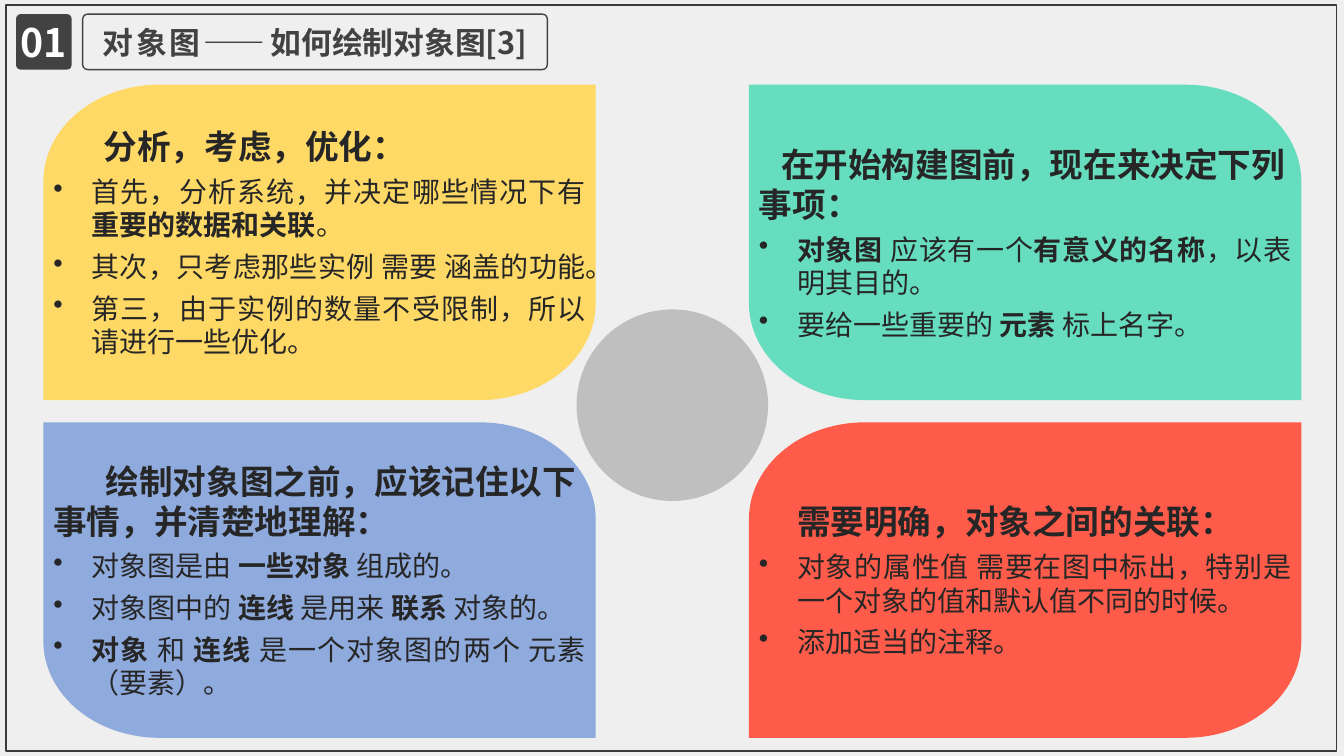
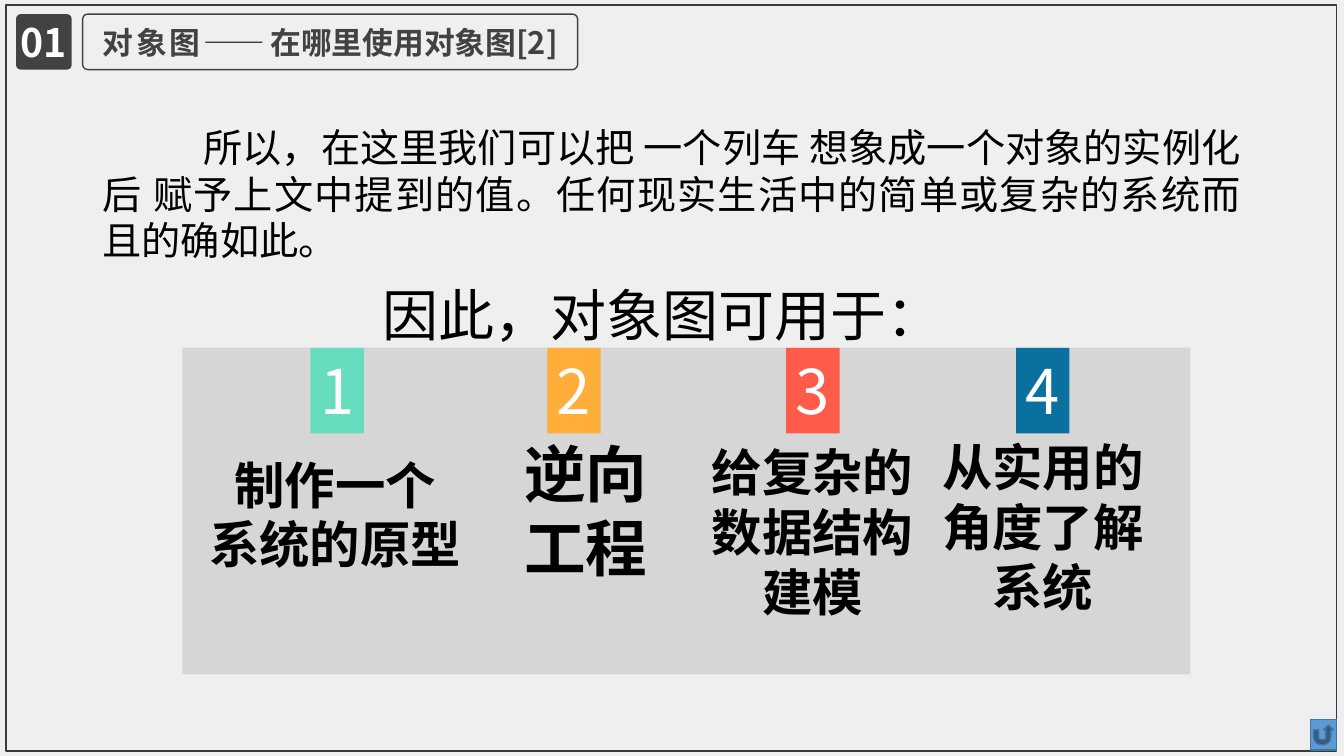
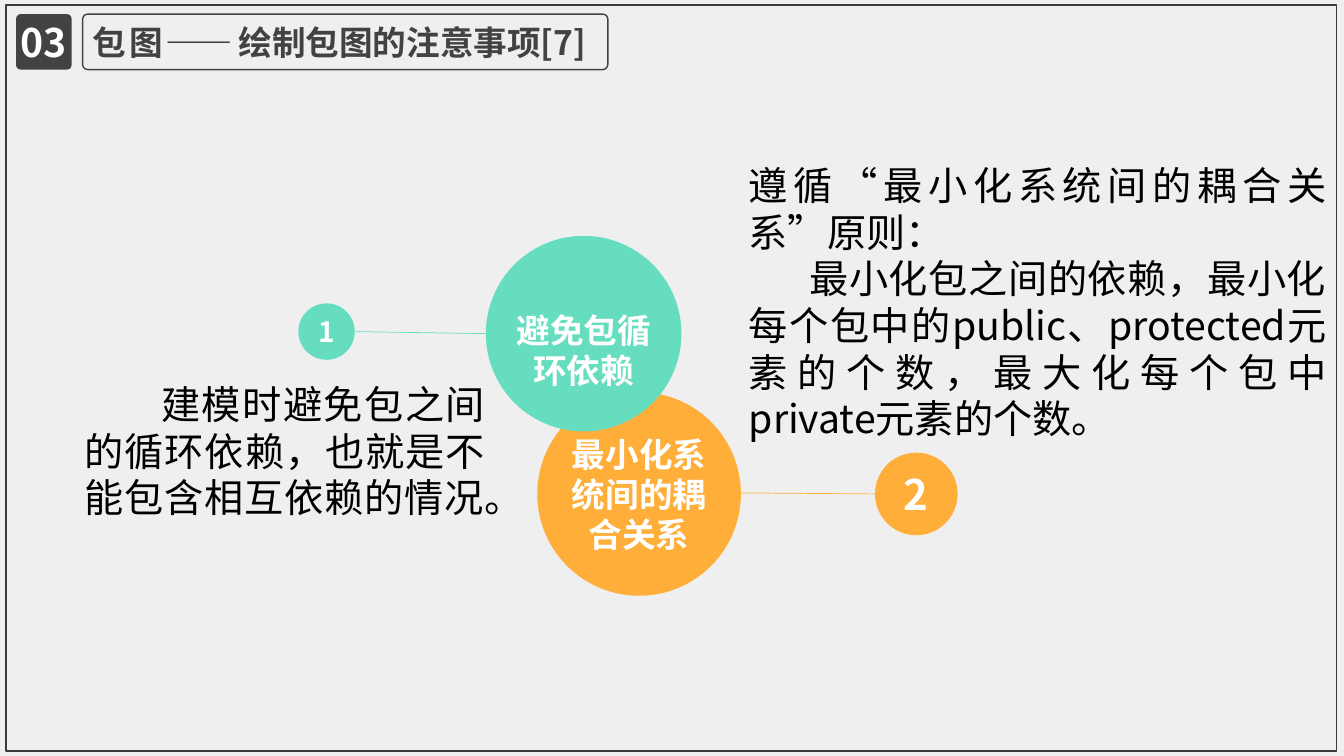
from dataclasses import dataclass
from math import cos, pi, sin

from lxml import etree
from pptx import Presentation
from pptx import util as u
from pptx.dml.color import RGBColor
from pptx.enum import shapes, text
from pptx.oxml.ns import qn

KIND = shapes.MSO_SHAPE
ALIGN = text.PP_ALIGN
MID = text.MSO_ANCHOR.MIDDLE
LOW = text.MSO_ANCHOR.BOTTOM


@dataclass(frozen=True)
class Theme:
    face: str = "Noto Sans CJK SC"
    back: str = "EFEFEF"
    edge: str = "3A3A3A"
    dark: str = "424242"
    ink: str = "262626"
    black: str = "000000"
    white: str = "FFFFFF"
    grey: str = "BFBFBF"
    gold: str = "FFD966"
    amber: str = "FFAE39"
    mint: str = "66DDBE"
    red: str = "FF5B4A"
    sky: str = "8FAADC"
    sea: str = "0970A0"
    blue: str = "5B9BD5"
    navy: str = "43739E"
    small: int = 20
    head: int = 22
    sub: int = 24
    body: int = 28
    num: int = 30
    label: int = 36
    lead: int = 40
    big: int = 44
    pitch: float = 1.19


T = Theme()
COLS, ROWS = 133.33, 75


class Deck:
    """Draws on a grid of 133.33 columns by 75 rows."""

    def __init__(self):
        self.prs = Presentation()
        self.prs.slide_height = u.Inches(7.5)
        self.cell = self.prs.slide_height / ROWS
        self.prs.slide_width = self.grid(COLS)[0]
        fill = self.prs.slide_master.background.fill
        fill.solid()
        fill.fore_color.rgb = RGBColor.from_string(T.back)

    def grid(self, *vals):
        return [round(v * self.cell) for v in vals]

    def start(self, num, title, width, size=T.head, align=ALIGN.CENTER):
        """Adds a slide with its frame, number badge and outlined title."""
        self.page = self.prs.slides.add_slide(self.prs.slide_layouts[5])
        self.shape(KIND.RECTANGLE, (0.6, 0.5, 132, 74), line=T.edge)
        badge = self.shape(KIND.ROUNDED_RECTANGLE, (1.6, 1.4, 5.5, 5.5), T.dark, curve=0.08)
        self.label(badge, [num], size=T.body, color=T.white, bold=True, pad=0)
        box = (8.2, 1.4, width, 5.5)
        self.shape(KIND.ROUNDED_RECTANGLE, box, line=T.dark, curve=0.09)
        head = self.page.shapes.title
        head.left, head.top, head.width, head.height = self.grid(*box)
        self.label(head, [title], size=size, color=T.dark, bold=True, align=align)
        first = head.text_frame.paragraphs[0].runs[0]
        first._r.get_or_add_rPr().set("spc", "200")

    def paint(self, item, fill=None, line=None, alpha=None):
        item.shadow.inherit = False
        if fill:
            item.fill.solid()
            item.fill.fore_color.rgb = RGBColor.from_string(fill)
            if alpha:
                tone = item._element.spPr.find(qn("a:solidFill"))[0]
                etree.SubElement(tone, qn("a:alpha")).set("val", str(alpha * 1000))
        else:
            item.fill.background()
        if line:
            item.line.color.rgb = RGBColor.from_string(line)
            item.line.width = u.Pt(1)
        else:
            item.line.fill.background()
        return item

    def shape(self, kind, box, fill=None, line=None, alpha=None, curve=None):
        item = self.page.shapes.add_shape(kind, *self.grid(*box))
        if curve:
            item.adjustments[0] = curve
        return self.paint(item, fill, line, alpha)

    def petal(self, box, fill, flip):
        """Box with two opposite elliptic corners: top left and bottom right, or flipped."""
        x, y, w, h = box
        rx, ry, steps = 11.5, 9.6, 24
        dots = []
        for k in range(steps + 1):
            turn = pi / 2 * k / steps
            dots.append((rx * (1 - cos(turn)), ry * (1 - sin(turn))))
        dots += [(w, 0)] + [(w - a, h - b) for a, b in dots] + [(0, h)]
        pts = [self.grid(x + (w - a if flip else a), y + b) for a, b in dots]
        form = self.page.shapes.build_freeform(*pts[0], scale=1.0)
        form.add_line_segments(pts[1:], close=True)
        return self.paint(form.convert_to_shape(), fill)

    def link(self, start, end, color):
        item = self.page.shapes.add_connector(
            shapes.MSO_CONNECTOR.STRAIGHT, *self.grid(*start, *end))
        item.line.color.rgb = RGBColor.from_string(color)
        item.line.width = u.Pt(0.5)
        etree.SubElement(item._element.spPr, qn("a:effectLst"))

    def note(self, box, paras, **style):
        item = self.page.shapes.add_textbox(*self.grid(*box))
        self.label(item, paras, **style)

    def label(self, item, paras, anchor=MID, pad=None, low=None, **style):
        """Fills a shape; a paragraph is a string or (string, style changes)."""
        frame = item.text_frame
        side, top = (1, 0.5) if pad is None else (pad, pad)
        left, high, base = self.grid(side, top, top if low is None else low)
        form = dict(word_wrap=True, auto_size=text.MSO_AUTO_SIZE.NONE,
                    vertical_anchor=anchor, margin_left=left, margin_right=left,
                    margin_top=high, margin_bottom=base)
        for key, val in form.items():
            setattr(frame, key, val)
        for i, para in enumerate(paras):
            words, more = (para, {}) if isinstance(para, str) else para
            spot = frame.add_paragraph() if i else frame.paragraphs[0]
            self.para(spot, words, **{**style, **more})

    def para(self, spot, words, size=T.body, color=T.black, bold=False,
             align=ALIGN.CENTER, after=0, indent=0, bullet=False):
        """Sets one paragraph; parts between asterisks are bold."""
        form = dict(alignment=align, space_before=u.Pt(0), space_after=u.Pt(after),
                    line_spacing=u.Pt(round(size * T.pitch, 1)))
        for key, val in form.items():
            setattr(spot, key, val)
        props = spot._p.get_or_add_pPr()
        hang = self.grid(3.8)[0] if bullet else 0
        props.set("marL", str(hang))
        props.set("indent", str(-hang or self.grid(indent)[0]))
        if bullet:
            etree.SubElement(props, qn("a:buChar")).set("char", "•")
        for i, part in enumerate(words.split("*")):
            if not part:
                continue
            run = spot.add_run()
            run.text = part
            font = dict(size=u.Pt(size), bold=bold or i % 2 == 1, name=T.face)
            for key, val in font.items():
                setattr(run.font, key, val)
            run.font.color.rgb = RGBColor.from_string(color)
            etree.SubElement(run._r.get_or_add_rPr(), qn("a:ea")).set("typeface", T.face)


def how(deck):
    deck.start("01", "对象图——*如何绘制对象图[3]", 46.1)
    deck.shape(KIND.OVAL, (57.2, 30.7, 19, 19), T.grey)
    cards = [
        (T.gold, 5, "分析，考虑，优化：", [
            "首先，分析系统，并决定哪些情况下有*重要的数据和关联*。",
            "其次，只考虑那些实例 需要 涵盖的功能。",
            "第三，由于实例的数量不受限制，所以请进行一些优化。"]),
        (T.mint, 2.2, "在开始构建图前，现在来决定下列事项：", [
            "*对象图 *应该有一个*有意义的名称*，以表明其目的。",
            "要给一些重要的 *元素* 标上名字。"]),
        (T.sky, 5.2, "绘制对象图之前，应该记住以下事情，并清楚地理解：", [
            "对象图是由 *一些对象 *组成的。",
            "对象图中的 *连线 *是用来 *联系* 对象的。",
            "*对象* 和 *连线* 是一个对象图的两个 元素（要素）。"]),
        (T.red, 3.8, "需要明确，对象之间的关联：", [
            "对象的属性值 需要在图中标出，特别是一个对象的值和默认值不同的时候。",
            "添加适当的注释。"]),
    ]
    for i, (fill, indent, head, points) in enumerate(cards):
        row, col = divmod(i, 2)
        card = deck.petal((4.3 + 70 * col, 8.4 + 33.5 * row, 54.8, 31.3), fill, row != col)
        top = (head, dict(size=T.sub, bold=True, indent=indent, align=ALIGN.LEFT, bullet=False))
        deck.label(card, [top, *points], size=T.small, color=T.ink,
                   align=ALIGN.JUSTIFY, after=6, bullet=True)


def where(deck):
    deck.start("01", "对象图——*在哪里使用对象图[2]", 49.1)
    top = text.MSO_ANCHOR.TOP
    deck.note((9.2, 11.8, 114.9, 15), [
        "所以，在这里我们可以把 一个列车 想象成一个对象的实例化后 赋予上文中提到的值。"
        "任何现实生活中的简单或复杂的系统而且的确如此。"],
        anchor=top, align=ALIGN.JUSTIFY, indent=10)
    deck.note((30.8, 27.4, 66.7, 7.7), ["因此，对象图可用于："],
              anchor=top, size=T.lead, align=ALIGN.LEFT, indent=6.2)
    deck.shape(KIND.RECTANGLE, (18.1, 34.5, 100, 32.4), T.grey, alpha=50)
    uses = [
        (30.8, T.mint, (18.1, 47.9, 30.3, 6.2), T.label, ["制作一个", "系统的原型"]),
        (54.3, T.amber, (49.9, 41.8, 16.4, 17.6), T.big, ["逆向工程"]),
        (78, T.red, (69.2, 41.8, 22.8, 21.9), T.label, ["给复杂的数据结构建模"]),
        (100.8, T.sea, (91.4, 41.8, 24.1, 20.9), T.label, ["从实用的角度了解系统"]),
    ]
    for i, (left, fill, box, size, words) in enumerate(uses, 1):
        tag = deck.shape(KIND.RECTANGLE, (left, 34.5, 5.3, 8.5), fill)
        deck.label(tag, [str(i)], size=T.big, color=T.white, pad=0)
        deck.note(box, words, size=size, bold=True)
    deck.shape(KIND.ACTION_BUTTON_RETURN, (130, 71.4, 2.6, 3), T.blue, T.navy)


def rules(deck):
    deck.start("03", "包图——*绘制包图的注意事项[7]", 52.1, T.sub, ALIGN.LEFT)
    deck.link((73.5, 48.9), (86.8, 49), T.amber)
    deck.link((48.2, 33.1), (35.2, 32.9), T.mint)
    discs = [
        (53.3, 38.9, 20.2, T.amber, T.sub, "最小化系统间的耦合关系"),
        (86.8, 44.9, 8.2, T.amber, T.num, "2"),
        (29.6, 30.1, 5.6, T.mint, T.small, "1"),
        (48.2, 23.4, 19.4, T.mint, T.sub, "避免包循环依赖"),
    ]
    for x, y, side, fill, size, words in discs:
        disc = deck.shape(KIND.OVAL, (x, y, side, side), fill)
        place = dict(anchor=LOW, low=1.2) if len(words) > 1 else {}
        deck.label(disc, [words], size=size, color=T.white, bold=True, pad=0, **place)
    deck.note((7.4, 37.3, 41.7, 23.6),
              ["建模时避免包之间的循环依赖，也就是不能包含相互依赖的情况。"],
              anchor=text.MSO_ANCHOR.TOP, align=ALIGN.JUSTIFY, indent=7.6)
    deck.note((73.3, 12.8, 59.3, 31.5), [
        "遵循“最小化系统间的耦合关系”原则：",
        ("最小化包之间的依赖，最小化每个包中的public、protected元素的个数，"
         "最大化每个包中private元素的个数。", dict(indent=6))],
        anchor=LOW, align=ALIGN.JUSTIFY)


def main():
    deck = Deck()
    for draw in (how, where, rules):
        draw(deck)
    deck.prs.save("out.pptx")


if __name__ == "__main__":
    main()
